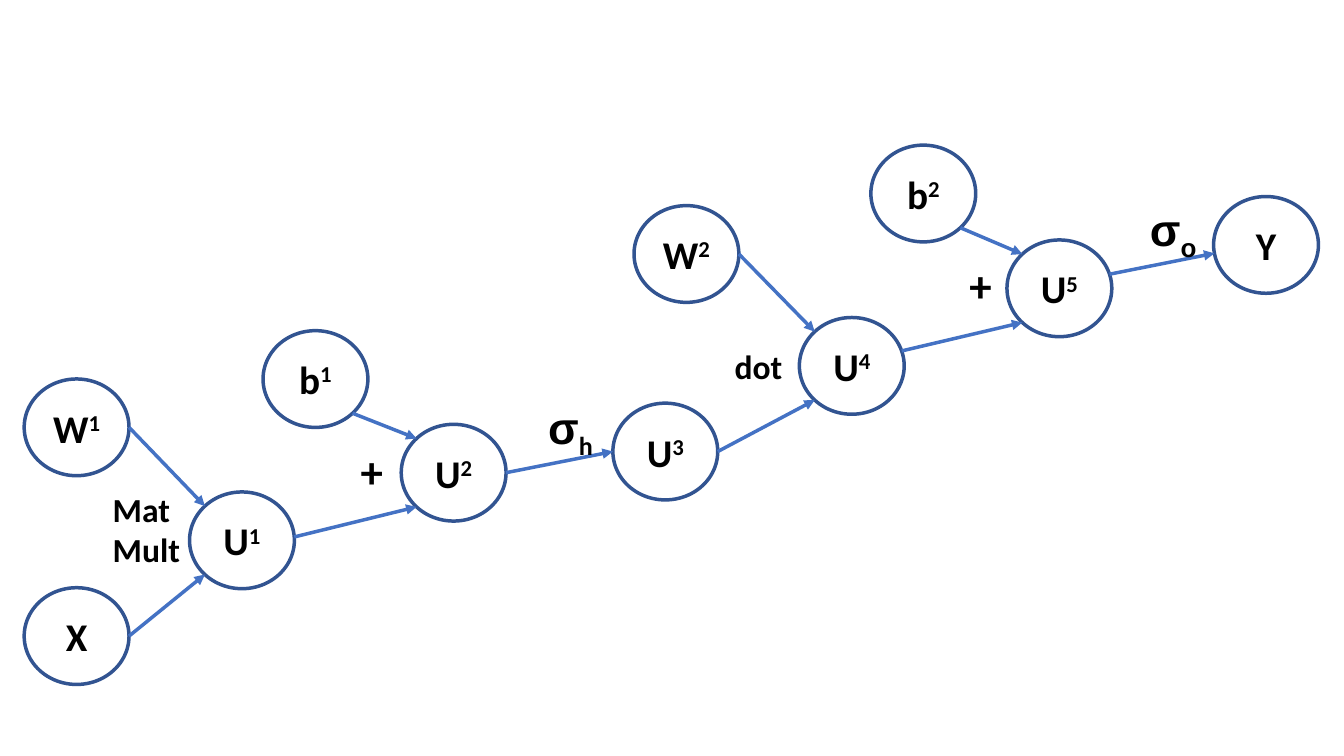
from math import cos, radians, sin

from lxml import etree
from pptx import Presentation
from pptx.dml.color import RGBColor
from pptx.enum.shapes import MSO_CONNECTOR, MSO_SHAPE
from pptx.enum.text import MSO_ANCHOR, PP_ALIGN
from pptx.oxml.ns import qn
from pptx.util import Pt

ELLIPSE = MSO_SHAPE.OVAL
STRAIGHT = MSO_CONNECTOR.STRAIGHT
CENTER, LEFT = PP_ALIGN.CENTER, PP_ALIGN.LEFT
MIDDLE, TOP = MSO_ANCHOR.MIDDLE, MSO_ANCHOR.TOP

INK, RING, ARROW = "000000", "325491", "4472C4"
NODE_W, NODE_H, LINE_W, NODE_SIZE = 74.9, 69.1, 2.5, 28
SUPER, SUB = 30000, -25000

# Angles on a node's rim, clockwise from the right
RIGHT_SIDE, LOWER_RIGHT, LOWER_LEFT, LEFT_SIDE, UPPER_LEFT = 0, 45, 135, 180, 225

# Node: (letter, superscript) -> left, top
NODES = {
    ("X", ""): (17.3, 419.8),
    ("W", "1"): (17.3, 270.7),
    ("U", "1"): (135.4, 351.4),
    ("b", "1"): (187.9, 236.2),
    ("U", "2"): (286.6, 303.1),
    ("U", "3"): (437.8, 288),
    ("W", "2"): (452.9, 146.9),
    ("U", "4"): (571, 226.8),
    ("b", "2"): (622.1, 103.7),
    ("U", "5"): (719.3, 171.4),
    ("Y", ""): (866.9, 140.4),
}

# Edge: from node, rim angle, to node, rim angle
EDGES = [
    (("W", "1"), RIGHT_SIDE, ("U", "1"), UPPER_LEFT),
    (("X", ""), RIGHT_SIDE, ("U", "1"), LOWER_LEFT),
    (("U", "1"), -4, ("U", "2"), LOWER_LEFT),
    (("b", "1"), LOWER_RIGHT, ("U", "2"), UPPER_LEFT),
    (("U", "2"), RIGHT_SIDE, ("U", "3"), LEFT_SIDE),
    (("W", "2"), RIGHT_SIDE, ("U", "4"), UPPER_LEFT),
    (("U", "3"), RIGHT_SIDE, ("U", "4"), LOWER_LEFT),
    (("U", "4"), -18, ("U", "5"), LOWER_LEFT),
    (("b", "2"), LOWER_RIGHT, ("U", "5"), UPPER_LEFT),
    (("U", "5"), -17, ("Y", ""), 170),
]

# Label: left, top, width, height, size, paragraphs of (text, font, baseline)
LABELS = [
    (73.4, 345.6, 80.6, 65.5, 24, [[("Mat", "Calibri", 0)], [("Mult", "Calibri", 0)]]),
    (517.7, 243.4, 80.6, 36, 24, [[("dot", "Calibri", 0)]]),
    (250.6, 313.2, 28.8, 46.1, 32, [[("+", "Calibri", 0)]]),
    (685.4, 180.7, 28.8, 46.1, 32, [[("+", "Calibri", 0)]]),
    (384.5, 282.2, 59, 46.1, 32, [[("σ", "Arial", 0), ("h", "Calibri", SUB)]]),
    (814.3, 140.4, 59, 46.1, 32, [[("σ", "Arial", 0), ("ο", "Arial", SUB)]]),
]


def color(hex_code):
    return RGBColor.from_string(hex_code)


def write(shape, paragraphs, size, align, anchor, wrap):
    frame = shape.text_frame
    frame.word_wrap = wrap
    frame.vertical_anchor = anchor
    for index, spans in enumerate(paragraphs):
        para = frame.add_paragraph() if index else frame.paragraphs[0]
        para.alignment = align
        for text, font, baseline in spans:
            span = para.add_run()
            span.text = text
            span.font.name = font
            span.font.size = Pt(size)
            span.font.bold = True
            span.font.color.rgb = color(INK)
            if baseline:
                span._r.get_or_add_rPr().set("baseline", str(baseline))


def add_node(page, name, left, top):
    node = page.shapes.add_shape(ELLIPSE, Pt(left), Pt(top), Pt(NODE_W), Pt(NODE_H))
    node.shadow.inherit = False
    node.fill.background()
    node.line.color.rgb = color(RING)
    node.line.width = Pt(LINE_W)
    letter, power = name
    spans = [(letter, "Calibri", 0)]
    if power:
        spans.append((power, "Calibri", SUPER))
    write(node, [spans], NODE_SIZE, CENTER, MIDDLE, False)


def rim_point(name, angle):
    left, top = NODES[name]
    turn = radians(angle)
    return (Pt(left + NODE_W / 2 * (1 + cos(turn))),
            Pt(top + NODE_H / 2 * (1 + sin(turn))))


def add_edge(page, source, source_angle, target, target_angle):
    edge = page.shapes.add_connector(
        STRAIGHT, *rim_point(source, source_angle), *rim_point(target, target_angle))
    edge.line.color.rgb = color(ARROW)
    edge.line.width = Pt(LINE_W)
    etree.SubElement(edge.line._get_or_add_ln(), qn("a:tailEnd"), type="triangle")
    etree.SubElement(edge._element.spPr, qn("a:effectLst"))


def add_label(page, left, top, width, height, size, paragraphs):
    box = page.shapes.add_textbox(Pt(left), Pt(top), Pt(width), Pt(height))
    write(box, paragraphs, size, LEFT, TOP, True)


def main():
    deck = Presentation()
    deck.slide_width, deck.slide_height = Pt(960), Pt(540)
    page = deck.slides.add_slide(deck.slide_layouts[6])

    # Graph nodes, arrows between them, operation labels
    for name, (left, top) in NODES.items():
        add_node(page, name, left, top)
    for edge in EDGES:
        add_edge(page, *edge)
    for label in LABELS:
        add_label(page, *label)

    deck.save("out.pptx")


if __name__ == "__main__":
    main()
